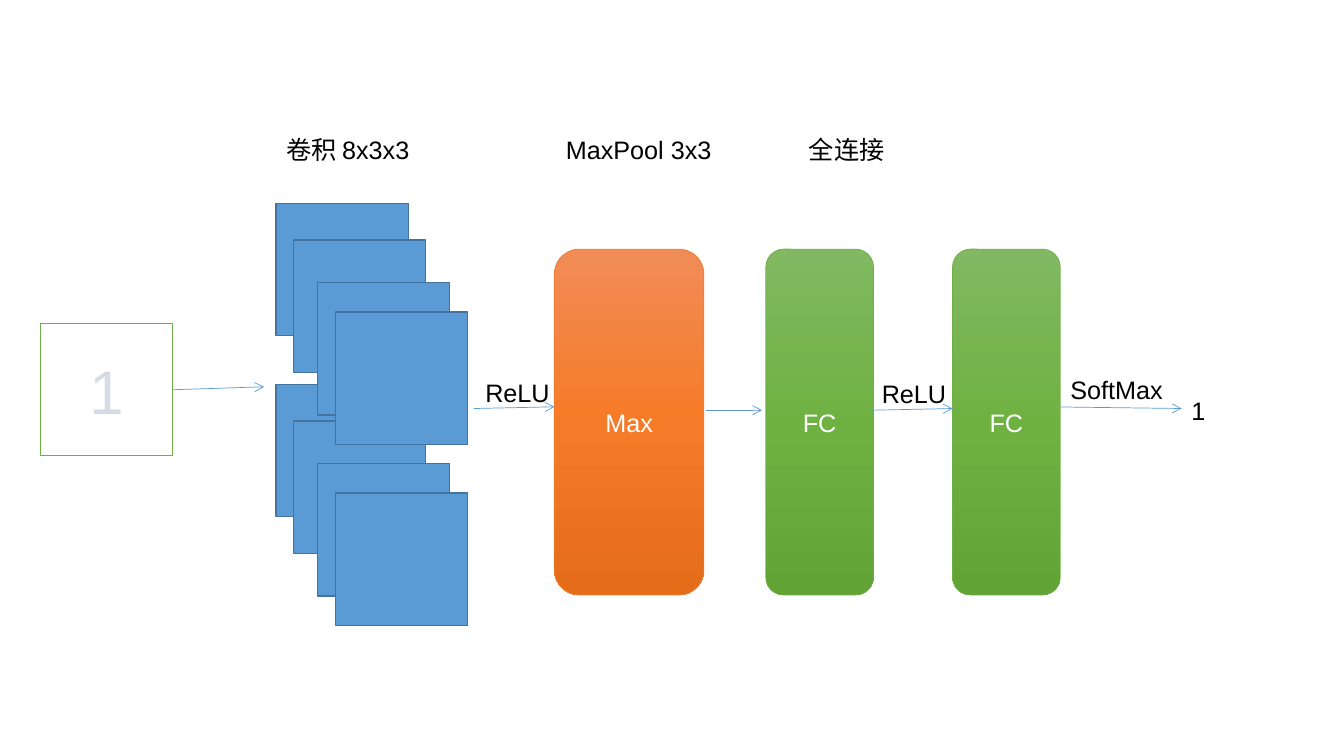
import copy
import pptx
import pptx.util
import pptx.dml.color
import pptx.enum.shapes
import pptx.enum.text
import pptx.oxml.ns
import pptx.oxml.xmlchemy

Pt = pptx.util.Pt
RGBColor = pptx.dml.color.RGBColor
Kind = pptx.enum.shapes.MSO_SHAPE
Align = pptx.enum.text.PP_ALIGN
Anchor = pptx.enum.text.MSO_ANCHOR
Size = pptx.enum.text.MSO_AUTO_SIZE
qn = pptx.oxml.ns.qn
make = pptx.oxml.xmlchemy.OxmlElement

BLACK = RGBColor(0, 0, 0)
WHITE = RGBColor(255, 255, 255)
PALE = RGBColor(0xD6, 0xDC, 0xE5)
BLUE = RGBColor(0x5B, 0x9B, 0xD5)
NAVY = RGBColor(0x43, 0x73, 0x9E)
GREEN = RGBColor(0x70, 0xAD, 0x47)
ORANGE = RGBColor(0xED, 0x7D, 0x31)
WARM = [RGBColor(0xF1, 0x8C, 0x57), RGBColor(0xF6, 0x7B, 0x28), RGBColor(0xE5, 0x6C, 0x19)]
FRESH = [RGBColor(0x81, 0xB8, 0x61), RGBColor(0x6F, 0xB2, 0x42), RGBColor(0x62, 0xA3, 0x36)]

SIDE = 94.5
STACKS = [274.5, 145.2]
MAPS = [(197.3, 0), (209.5, 26.2), (226.8, 56.7), (239.6, 77.8)]
LAYERS = [
    ("Max", 396, 106.8, WARM, ORANGE),
    ("FC", 547, 77, FRESH, GREEN),
    ("FC", 680.4, 77, FRESH, GREEN),
]
TOP, TALL = 178, 247
LABELS = [
    ("卷积 8x3x3", 197.3, 92.3, 164),
    ("MaxPool 3x3", 397.1, 92.3, 164),
    ("全连接", 570.7, 92.3, 164),
    ("ReLU", 339.6, 265.9, 164),
    ("ReLU", 622.8, 266.8, 164),
    ("SoftMax", 757.4, 263.8, 98),
    ("1", 844, 278.6, 78),
]
ARROWS = [
    (123.3, 278.4, 188.6, 276.3),
    (338.4, 291.8, 396, 290.6),
    (504, 293, 544.3, 293),
    (623, 293, 680.4, 291.8),
    (757.4, 290.7, 844, 291.8),
]

deck = pptx.Presentation()
deck.slide_width, deck.slide_height = Pt(960), Pt(540)
slide = deck.slides.add_slide(deck.slide_layouts[6])
shapes = slide.shapes


def style(thing, **look):
    for key, value in look.items():
        setattr(thing, key, value)


def write(shape, text, size=18, color=BLACK, align=Align.LEFT):
    para = shape.text_frame.paragraphs[0]
    para.alignment = align
    run = para.add_run()
    run.text = text
    style(run.font, name="Arial", size=Pt(size))
    run.font.color.rgb = color


def block(kind, box, fill, edge, width):
    shape = shapes.add_shape(kind, *map(Pt, box))
    shape.shadow.inherit = False
    if isinstance(fill, list):
        blend(shape, fill)
    else:
        shape.fill.solid()
        shape.fill.fore_color.rgb = fill
    shape.line.color.rgb = edge
    shape.line.width = Pt(width)
    shape.text_frame.vertical_anchor = Anchor.MIDDLE
    return shape


def blend(shape, colors):
    shape.fill.gradient()
    shape.fill.gradient_angle = 270
    stops = shape._element.spPr.find(qn("a:gradFill")).find(qn("a:gsLst"))
    stops.insert(1, copy.deepcopy(stops[0]))
    for i, (stop, color) in enumerate(zip(shape.fill.gradient_stops, colors)):
        stop.color.rgb = color
        stop.position = i / 2


def arrow(ends):
    line = shapes.add_connector(pptx.enum.shapes.MSO_CONNECTOR.STRAIGHT, *map(Pt, ends))
    line.line.color.rgb = BLUE
    line.line.width = Pt(0.5)
    tip = make("a:tailEnd")
    tip.set("type", "arrow")
    line._element.spPr.find(qn("a:ln")).append(tip)
    line._element.spPr.append(make("a:effectLst"))


for top in STACKS:
    for left, drop in MAPS:
        block(Kind.RECTANGLE, (left, top + drop, SIDE, SIDE), BLUE, NAVY, 1)

for text, left, width, fill, edge in LAYERS:
    layer = block(Kind.ROUNDED_RECTANGLE, (left, TOP, width, TALL), fill, edge, 0.5)
    write(layer, text, color=WHITE, align=Align.CENTER)

digit = block(Kind.RECTANGLE, (28.8, 231, SIDE, SIDE), WHITE, GREEN, 1)
write(digit, "1", 44, PALE, Align.CENTER)

for ends in ARROWS:
    arrow(ends)

for text, left, top, width in LABELS:
    label = shapes.add_textbox(*map(Pt, (left, top, width, 29)))
    style(label.text_frame, word_wrap=True, auto_size=Size.SHAPE_TO_FIT_TEXT)
    write(label, text)

deck.save("out.pptx")
